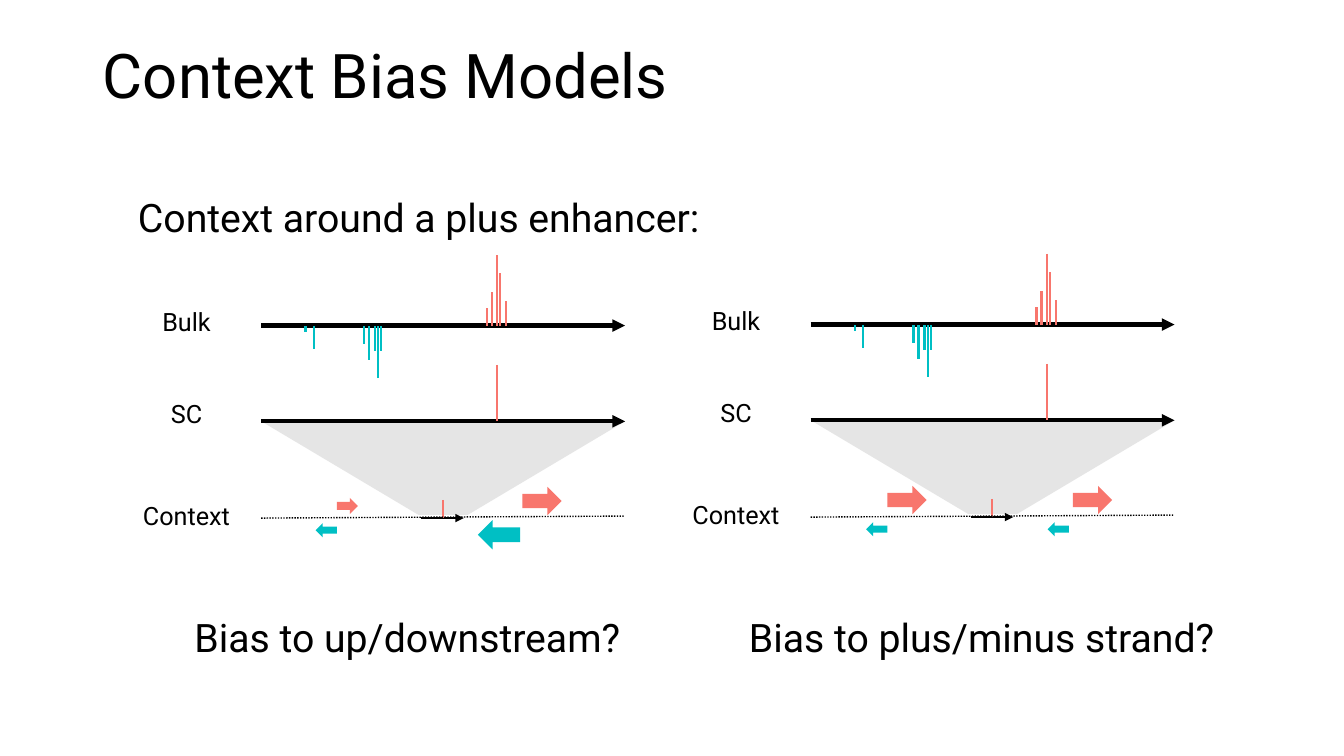
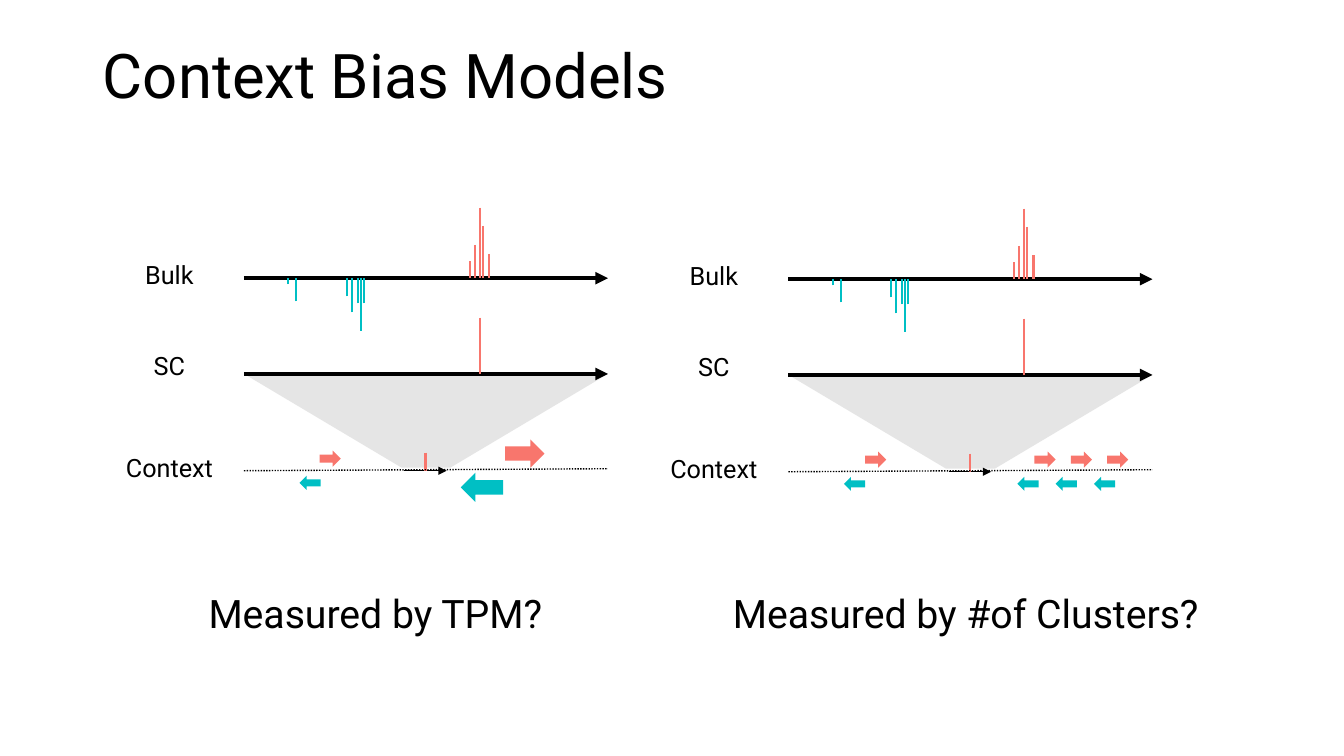
"""Build two slides that compare context bias models around an enhancer."""
from lxml.etree import SubElement
from pptx import Presentation
from pptx.dml.color import RGBColor
from pptx.enum.dml import MSO_LINE_DASH_STYLE as DASH
from pptx.enum.shapes import MSO_CONNECTOR, MSO_SHAPE
from pptx.enum.text import MSO_ANCHOR, MSO_AUTO_SIZE, PP_ALIGN
from pptx.oxml.ns import qn
from pptx.util import Inches, Pt

BLACK = RGBColor(0x00, 0x00, 0x00)
PLUS = RGBColor(0xF8, 0x76, 0x6D)
MINUS = RGBColor(0x00, 0xBF, 0xC4)
GRAY = RGBColor(0x80, 0x80, 0x80)
FONT = "Roboto"

TITLE = "Context Bias Models"
SLIDES = [
    {
        "heading": ("Context around a plus enhancer:", 1.27, 1.87, 5.82),
        "caption_top": 6.04,
        "panels": [
            {
                "origin": (2.59, 3.23),
                "caption": ("Bias to up/downstream?", 1.83, 4.42),
                "arrows": {"small plus": [0.75], "big plus": [2.59],
                           "small minus": [0.54], "big minus": [2.15]},
            },
            {
                "origin": (8.04, 3.22),
                "caption": ("Bias to plus/minus strand?", 7.33, 4.81),
                "arrows": {"big plus": [0.76, 2.6], "small minus": [0.55, 2.35]},
            },
        ],
    },
    {
        "heading": None,
        "caption_top": 5.8,
        "panels": [
            {
                "origin": (2.42, 2.76),
                "caption": ("Measured by TPM?", 1.97, 3.63),
                "arrows": {"small plus": [0.75], "big plus": [2.59],
                           "small minus": [0.55], "big minus": [2.15]},
            },
            {
                "origin": (7.82, 2.77),
                "caption": ("Measured by #of Clusters?", 7.17, 4.9),
                "arrows": {"small plus": [0.76, 2.44, 2.8, 3.16],
                           "small minus": [0.55, 2.27, 2.65, 3.03]},
            },
        ],
    },
]

AXIS_LENGTH = 3.61
SC_ROW, CONTEXT_ROW = 0.95, 1.91
LABELS = [("Bulk", -0.24), ("SC", 0.67), ("Context", 1.68)]
LABEL_LEFT, LABEL_WIDTH = -1.28, 1.08
PLUS_PEAKS = [(2.24, 0.17), (2.29, 0.33), (2.34, 0.7), (2.37, 0.52), (2.43, 0.24)]
MINUS_PEAKS = [(0.44, 0.06), (0.52, 0.23), (1.02, 0.18), (1.07, 0.34),
               (1.13, 0.25), (1.16, 0.52), (1.19, 0.25)]
BULK_PEAKS = ([(x, -height, PLUS) for x, height in PLUS_PEAKS]
              + [(x, height, MINUS) for x, height in MINUS_PEAKS])
TRACKS = [
    {"row": 0, "span": (0, AXIS_LENGTH), "weight": 3, "peaks": BULK_PEAKS},
    {"row": SC_ROW, "span": (0, AXIS_LENGTH), "weight": 3,
     "peaks": [(2.34, -0.56, PLUS)]},
    {"row": CONTEXT_ROW, "span": (1.59, 2.01), "weight": 1,
     "peaks": [(1.8, -0.18, PLUS)]},
]
ARROW_STYLES = {
    "small plus": (1.71, 0.21, 0.16, PLUS, 0),
    "big plus": (1.6, 0.39, 0.28, PLUS, 0),
    "small minus": (1.96, 0.21, 0.14, MINUS, 180),
    "big minus": (1.93, 0.42, 0.29, MINUS, 180),
}


def write(frame, text, size, align=PP_ALIGN.LEFT):
    """Put one formatted run in a text frame."""
    paragraph = frame.paragraphs[0]
    paragraph.alignment = align
    run = paragraph.add_run()
    run.text = text
    run.font.name = FONT
    run.font.size = Pt(size)
    run.font.color.rgb = BLACK
    return paragraph


def add_text(slide, text, left, top, width, height, size, align=PP_ALIGN.LEFT):
    """Add a text box that holds one line."""
    box = slide.shapes.add_textbox(*map(Inches, (left, top, width, height)))
    box.text_frame.word_wrap = True
    write(box.text_frame, text, size, align)


def add_line(shapes, start, end, color, weight):
    """Add a straight line without a shadow."""
    line = shapes.add_connector(MSO_CONNECTOR.STRAIGHT, *map(Inches, (*start, *end)))
    line.line.color.rgb = color
    line.line.width = Pt(weight)
    SubElement(line._element.spPr, qn("a:effectLst"))
    return line


def add_filled(slide, preset, left, top, width, height, color):
    """Add a preset shape with a plain fill."""
    shape = slide.shapes.add_shape(preset, *map(Inches, (left, top, width, height)))
    shape.shadow.inherit = False
    shape.fill.solid()
    shape.fill.fore_color.rgb = color
    shape.line.fill.background()
    return shape


def add_zoom(slide, left, top):
    """Add the translucent funnel from the SC axis to the context."""
    zoom = add_filled(slide, MSO_SHAPE.TRAPEZOID, left, top + SC_ROW,
                      AXIS_LENGTH, 0.93, GRAY)
    zoom.adjustments[0] = 1.68
    zoom._element.spPr.find(qn("a:xfrm")).set("flipV", "1")
    color = zoom._element.spPr.find(qn("a:solidFill")).find(qn("a:srgbClr"))
    SubElement(color, qn("a:alpha"), val="20000")


def add_track(slide, left, top, track):
    """Add a grouped axis arrow with its peaks."""
    shapes = slide.shapes.add_group_shape().shapes
    base = top + track["row"]
    start, end = track["span"]
    axis = add_line(shapes, (left + start, base), (left + end, base),
                    BLACK, track["weight"])
    SubElement(axis.line._get_or_add_ln(), qn("a:tailEnd"), type="triangle")
    for x, rise, color in track["peaks"]:
        add_line(shapes, (left + x, base + rise), (left + x, base), color, 1.5)


def add_panel(slide, panel, caption_top):
    """Add one model: labels, tracks, context arrows and caption."""
    left, top = panel["origin"]
    add_zoom(slide, left, top)
    for text, offset in LABELS:
        add_text(slide, text, left + LABEL_LEFT, top + offset,
                 LABEL_WIDTH, 0.4, 18, PP_ALIGN.CENTER)
    for track in TRACKS:
        add_track(slide, left, top, track)
    context = top + CONTEXT_ROW
    dotted = add_line(slide.shapes, (left, context),
                      (left + AXIS_LENGTH, context - 0.02), BLACK, 1)
    dotted.line.dash_style = DASH.ROUND_DOT
    for style, positions in panel["arrows"].items():
        offset, width, height, color, rotation = ARROW_STYLES[style]
        for x in positions:
            arrow = add_filled(slide, MSO_SHAPE.RIGHT_ARROW, left + x, top + offset,
                               width, height, color)
            arrow.rotation = rotation
    text, caption_left, width = panel["caption"]
    add_text(slide, text, caption_left, caption_top, width + 0.1, 0.57, 28)


def add_title(slide):
    """Place and format the shared title."""
    title = slide.shapes.title
    title.left, title.top, title.width, title.height = map(
        Inches, (0.92, 0.4, 11.5, 1.45))
    frame = title.text_frame
    frame.auto_size = MSO_AUTO_SIZE.NONE
    frame.vertical_anchor = MSO_ANCHOR.TOP
    write(frame, TITLE, 44).line_spacing = 0.9


def main():
    """Build and save the presentation."""
    presentation = Presentation()
    presentation.slide_width = Inches(13.33)
    presentation.slide_height = Inches(7.5)
    for content in SLIDES:
        slide = presentation.slides.add_slide(presentation.slide_layouts[5])
        add_title(slide)
        if content["heading"]:
            text, left, top, width = content["heading"]
            add_text(slide, text, left, top, width, 0.57, 28)
        for panel in content["panels"]:
            add_panel(slide, panel, content["caption_top"])
    presentation.save("out.pptx")


if __name__ == "__main__":
    main()
